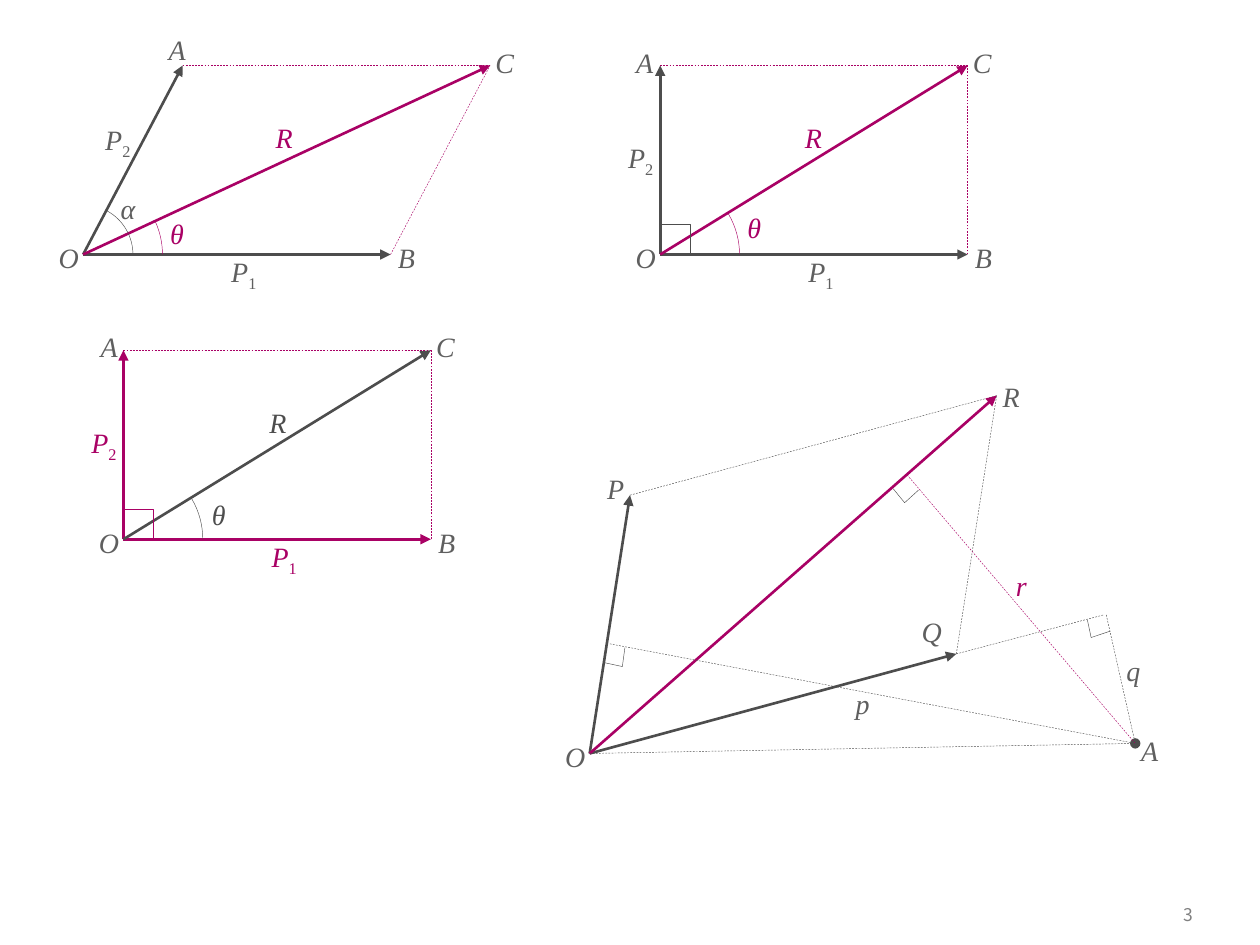
"""Builds a slide of four vector diagrams: three parallelograms of forces and one moment figure."""
from dataclasses import dataclass
from math import atan2, degrees

from lxml.etree import SubElement
from pptx import Presentation
from pptx.dml.color import RGBColor
from pptx.enum.dml import MSO_LINE_DASH_STYLE as Dash
from pptx.enum.shapes import MSO_CONNECTOR, MSO_SHAPE
from pptx.enum.text import MSO_ANCHOR, MSO_AUTO_SIZE, PP_ALIGN
from pptx.oxml.ns import qn
from pptx.util import Inches, Pt


@dataclass(frozen=True)
class Theme:
    dark: str = "4D4D4D"
    accent: str = "A90165"
    label: str = "5F5F5F"
    number: str = "808080"
    math_font: str = "Times New Roman"
    number_font: str = "Noto Sans CJK KR"
    label_size: float = 16
    number_size: float = 10
    thick: float = 1.5
    thin: float = 0.25


theme = Theme()
BASE, RISE = 2.44, 1.5
THETA_RADIUS, ALPHA_RADIUS, SQUARE = 0.63, 0.395, 0.24

panels = [
    dict(origin=(0.66, 2.02), lean=0.79, force=theme.dark, force_label=theme.label,
         resultant=theme.accent, tight="R",
         spots={"A": (0.55, -1.81), "P2": (0, -1.1), "θ": (0.55, -0.35),
                "R": (1.4, -1.06), "α": (0.16, -0.55)}),
    dict(origin=(5.24, 2.02), lean=0, force=theme.dark, force_label=theme.label,
         resultant=theme.accent, tight="R",
         spots={"A": (-0.32, -1.71), "P2": (-0.43, -0.95), "θ": (0.55, -0.4),
                "R": (1.02, -1.06)}),
    dict(origin=(0.98, 4.28), lean=0, force=theme.accent, force_label=theme.accent,
         resultant=theme.dark, tight="Rθ",
         spots={"A": (-0.31, -1.71), "P2": (-0.43, -0.95), "θ": (0.56, -0.33),
                "R": (1.03, -1.06)}),
]

O, P, Q, R, A = (4.68, 5.98), (5, 3.93), (7.59, 5.19), (7.91, 3.14), (9.01, 5.9)
moment_lines = [
    (O, Q, theme.dark, "triangle"), (O, P, theme.dark, "triangle"),
    (Q, R, theme.dark, None), (P, R, theme.dark, None),
    (O, R, theme.accent, "triangle"), (Q, (8.76, 4.88), theme.dark, None),
    (O, A, theme.dark, "oval"), ((4.84, 5.11), A, theme.dark, None),
    ((7.2, 3.77), A, theme.accent, None), ((8.78, 4.88), A, theme.dark, None),
]
moment_corners = [
    [(7.09, 3.88), (7.18, 3.99), (7.29, 3.89)],
    [(4.8, 5.26), (4.94, 5.29), (4.96, 5.14)],
    [(8.63, 4.92), (8.66, 5.06), (8.81, 5.01)],
]
moment_labels = [
    ("R", (7.83, 2.96)), ("P", (4.69, 3.69)), ("Q", (7.2, 4.83)), ("p", (6.65, 5.4)),
    ("q", (8.8, 5.14)), ("r", (7.91, 4.46)), ("O", (4.37, 5.82)), ("A", (8.93, 5.77)),
]


def shift(point, offset):
    return point[0] + offset[0], point[1] + offset[1]


def paint(line, color, width):
    line.color.rgb = RGBColor.from_string(color)
    line.width = Pt(width)


def add_line(group, start, end, color, tail=None):
    """Draws a thick arrow for a triangle tail and a thin dashed line otherwise."""
    ends = [Inches(value) for value in (*start, *end)]
    connector = group.shapes.add_connector(MSO_CONNECTOR.STRAIGHT, *ends)
    arrow = tail == "triangle"
    paint(connector.line, color, theme.thick if arrow else theme.thin)
    if not arrow:
        connector.line.dash_style = Dash.DASH
    if tail:
        SubElement(connector.line._get_or_add_ln(), qn("a:tailEnd"), type=tail)
    SubElement(connector._element.spPr, qn("a:effectLst"))


def add_label(group, text, spot, color, tight=False):
    """Writes an italic letter, with any second character as an upright subscript."""
    width, height = 0.55 if len(text) > 1 else 0.39, 0.27 if tight else 0.37
    box = group.shapes.add_textbox(*(Inches(value) for value in (*spot, width, height)))
    frame = box.text_frame
    frame.word_wrap = True
    frame.auto_size = MSO_AUTO_SIZE.SHAPE_TO_FIT_TEXT
    if tight:
        frame.margin_left = frame.margin_right = frame.margin_top = frame.margin_bottom = 0
    para = frame.paragraphs[0]
    para.alignment = PP_ALIGN.CENTER
    para.font.name, para.font.size = theme.math_font, Pt(theme.label_size)
    para.font.color.rgb = RGBColor.from_string(color)
    for index, letter in enumerate(text):
        span = para.add_run()
        span.text = letter
        span.font.italic = index == 0
        if index:
            span.font._element.set("baseline", "-25000")


def add_arc(group, center, radius, direction, color):
    left, top = shift(center, (-radius, -radius))
    sides = [Inches(value) for value in (left, top, 2 * radius, 2 * radius)]
    arc = group.shapes.add_shape(MSO_SHAPE.ARC, *sides)
    angle = degrees(atan2(-direction[1], direction[0]))
    arc.adjustments[0] = (360 - angle) * 0.6
    arc.adjustments[1] = 0
    arc.fill.background()
    arc.shadow.inherit = False
    paint(arc.line, color, theme.thin)


def add_corner(group, points, color):
    first, *others = [(Inches(x), Inches(y)) for x, y in points]
    builder = group.shapes.build_freeform(*first, scale=1.0)
    builder.add_line_segments(others, close=False)
    corner = builder.convert_to_shape()
    corner.fill.background()
    corner.shadow.inherit = False
    paint(corner.line, color, theme.thin)


def add_panel(page, origin, lean, force, force_label, resultant, tight, spots):
    group = page.shapes.add_group_shape()
    rise, diagonal = (lean, -RISE), (lean + BASE, -RISE)
    b, a, c = (shift(origin, offset) for offset in ((BASE, 0), rise, diagonal))
    for end, color in ((b, force), (a, force), (c, resultant)):
        add_line(group, origin, end, color, "triangle")
    for start in (a, b):
        add_line(group, start, c, theme.accent)
    add_arc(group, origin, THETA_RADIUS, diagonal, resultant)
    if lean:
        add_arc(group, origin, ALPHA_RADIUS, rise, theme.dark)
    else:
        corner = [(0, -SQUARE), (SQUARE, -SQUARE), (SQUARE, 0)]
        add_corner(group, [shift(origin, offset) for offset in corner], force)
    shared = {"O": (-0.31, -0.16), "B": (2.37, -0.16), "C": (lean + 2.36, -1.71),
              "P1": (1, -0.05)}
    colors = {"P1": force_label, "P2": force_label, "R": resultant, "θ": resultant}
    for text, offset in {**shared, **spots}.items():
        add_label(group, text, shift(origin, offset), colors.get(text, theme.label), text in tight)


def add_moment_figure(page):
    group = page.shapes.add_group_shape()
    for line in moment_lines:
        add_line(group, *line)
    for points in moment_corners:
        add_corner(group, points, theme.dark)
    for text, spot in moment_labels:
        add_label(group, text, spot, theme.accent if text == "r" else theme.label)


def add_page_number(page, text):
    box = page.shapes.add_textbox(Inches(8.86), Inches(7.09), Inches(0.71), Inches(0.33))
    box.text_frame.word_wrap = True
    box.text_frame.vertical_anchor = MSO_ANCHOR.MIDDLE
    para = box.text_frame.paragraphs[0]
    para.text = text
    para.alignment = PP_ALIGN.RIGHT
    para.font.name, para.font.size = theme.number_font, Pt(theme.number_size)
    para.font.color.rgb = RGBColor.from_string(theme.number)


deck = Presentation()
deck.slide_width, deck.slide_height = Inches(10), Inches(7.5)
page = deck.slides.add_slide(deck.slide_layouts[6])
add_page_number(page, "3")
for panel in panels:
    add_panel(page, **panel)
add_moment_figure(page)
deck.save("out.pptx")
